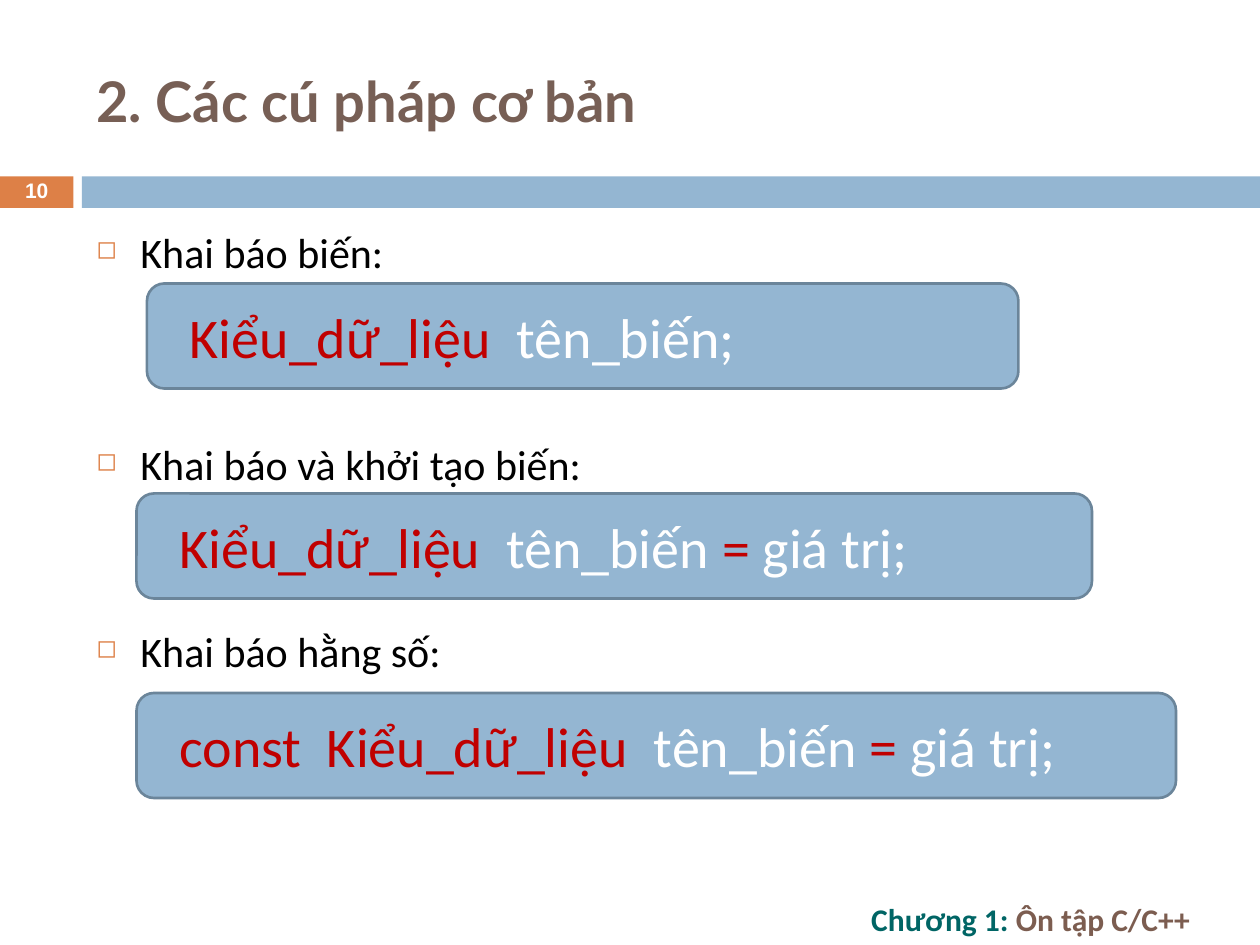
from typing import NamedTuple

from lxml.etree import SubElement
from pptx import Presentation
from pptx.dml.color import RGBColor
from pptx.enum.shapes import MSO_SHAPE
from pptx.enum.text import MSO_ANCHOR, PP_ALIGN
from pptx.oxml.ns import qn
from pptx.util import Emu, Inches, Pt

PX = Inches(1) // 120

ORANGE = RGBColor(0xDD, 0x80, 0x47)
BLUE = RGBColor(0x94, 0xB6, 0xD2)
BLUE_EDGE = RGBColor(0x6B, 0x85, 0x9A)
BROWN = RGBColor(0x77, 0x5F, 0x55)
FOOTER_BROWN = RGBColor(0x7C, 0x5D, 0x50)
TEAL = RGBColor(0x00, 0x65, 0x65)
RED = RGBColor(0xC0, 0x00, 0x00)
BLACK = RGBColor(0x00, 0x00, 0x00)
WHITE = RGBColor(0xFF, 0xFF, 0xFF)


class Box(NamedTuple):
    left: int
    top: int
    width: int
    height: int

    def emu(self) -> list[Emu]:
        return [Emu(length * PX) for length in self]


class Piece(NamedTuple):
    text: str
    color: RGBColor


class Style(NamedTuple):
    font: str
    size: int
    bold: bool = False


class Syntax(NamedTuple):
    box: Box
    pieces: list[Piece]


class Topic(NamedTuple):
    text: str
    space_before: int


TITLE = Style("Lato", 32, True)
NUMBER = Style("Arial", 12, True)
TOPIC = Style("Calibri", 24)
SYNTAX = Style("Calibri", 32)
FOOTER = Style("Calibri", 18, True)

TOPICS = [
    Topic("Khai báo biến:", 0),
    Topic("Khai báo và khởi tạo biến:", 92),
    Topic("Khai báo hằng số:", 78),
]

ASSIGNMENT = [Piece("  tên_biến ", WHITE), Piece("=", RED), Piece(" giá trị;", WHITE)]
SYNTAXES = [
    Syntax(Box(140, 270, 830, 100),
           [Piece("Kiểu_dữ_liệu", RED), Piece("  tên_biến;", WHITE)]),
    Syntax(Box(130, 470, 910, 100), [Piece("Kiểu_dữ_liệu", RED), *ASSIGNMENT]),
    Syntax(Box(130, 660, 990, 100), [Piece("const  Kiểu_dữ_liệu", RED), *ASSIGNMENT]),
]


def write(paragraph, pieces: list[Piece], style: Style) -> None:
    for piece in pieces:
        run = paragraph.add_run()
        run.text = piece.text
        run.font.name = style.font
        run.font.size = Pt(style.size)
        run.font.bold = style.bold
        run.font.color.rgb = piece.color


def add_label(slide, box: Box, pieces: list[Piece], style: Style):
    frame = slide.shapes.add_textbox(*box.emu()).text_frame
    frame.word_wrap = True
    frame.vertical_anchor = MSO_ANCHOR.MIDDLE
    write(frame.paragraphs[0], pieces, style)
    return frame.paragraphs[0]


def add_panel(slide, kind: MSO_SHAPE, box: Box, fill: RGBColor):
    panel = slide.shapes.add_shape(kind, *box.emu())
    panel.shadow.inherit = False
    panel.fill.solid()
    panel.fill.fore_color.rgb = fill
    panel.line.fill.background()
    return panel


def add_syntax(slide, syntax: Syntax) -> None:
    panel = add_panel(slide, MSO_SHAPE.ROUNDED_RECTANGLE, syntax.box, BLUE)
    panel.line.color.rgb = BLUE_EDGE
    panel.line.width = Pt(1.5)
    frame = panel.text_frame
    frame.word_wrap = True
    frame.margin_left = Emu(36 * PX)
    frame.vertical_anchor = MSO_ANCHOR.MIDDLE
    frame.paragraphs[0].alignment = PP_ALIGN.LEFT
    write(frame.paragraphs[0], syntax.pieces, SYNTAX)


def add_bullet(paragraph) -> None:
    properties = paragraph._p.get_or_add_pPr()
    indent = 42 * PX
    properties.set("marL", str(indent))
    properties.set("indent", str(-indent))
    color = SubElement(properties, qn("a:buClr"))
    SubElement(color, qn("a:srgbClr"), val=str(ORANGE))
    SubElement(properties, qn("a:buSzPct"), val="60000")
    SubElement(properties, qn("a:buChar"), char="◻")


def add_topics(slide, box: Box, topics: list[Topic]) -> None:
    frame = slide.shapes.add_textbox(*box.emu()).text_frame
    frame.word_wrap = True
    for index, topic in enumerate(topics):
        paragraph = frame.add_paragraph() if index else frame.paragraphs[0]
        add_bullet(paragraph)
        if topic.space_before:
            paragraph.space_before = Pt(topic.space_before)
        write(paragraph, [Piece(topic.text, BLACK)], TOPIC)


def main() -> None:
    deck = Presentation()
    deck.slide_width = Emu(1200 * PX)
    deck.slide_height = Emu(900 * PX)
    slide = deck.slides.add_slide(deck.slide_layouts[6])

    add_panel(slide, MSO_SHAPE.RECTANGLE, Box(0, 168, 70, 30), ORANGE)
    add_panel(slide, MSO_SHAPE.RECTANGLE, Box(78, 168, 1122, 30), BLUE)
    add_label(slide, Box(80, 30, 1070, 130),
              [Piece("2. Các cú pháp cơ bản", BROWN)], TITLE)
    add_topics(slide, Box(80, 210, 1070, 660), TOPICS)
    number = add_label(slide, Box(0, 167, 70, 32), [Piece("10", WHITE)], NUMBER)
    number.alignment = PP_ALIGN.CENTER
    number.line_spacing = 0.8
    for syntax in SYNTAXES:
        add_syntax(slide, syntax)
    add_label(slide, Box(818, 850, 382, 50),
              [Piece("Chương 1: ", TEAL), Piece("Ôn tập C/C++", FOOTER_BROWN)], FOOTER)

    deck.save("out.pptx")


if __name__ == "__main__":
    main()
